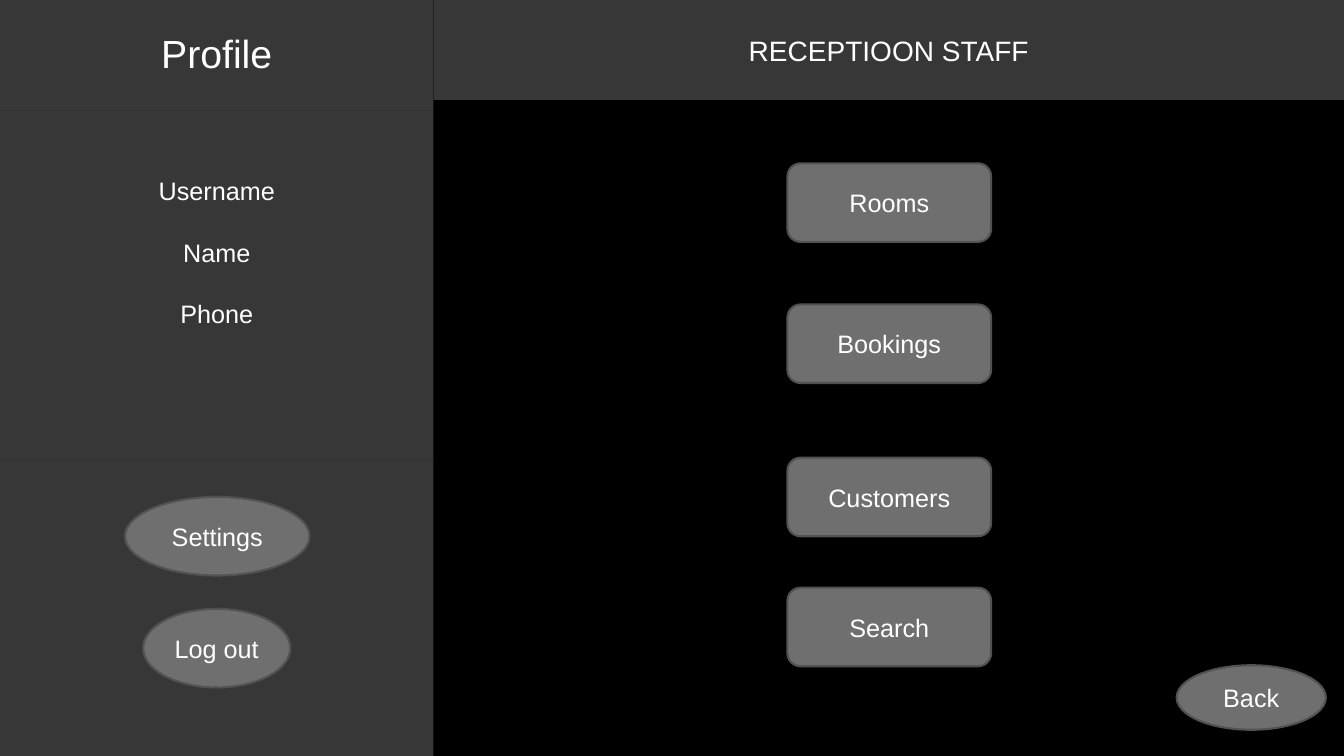
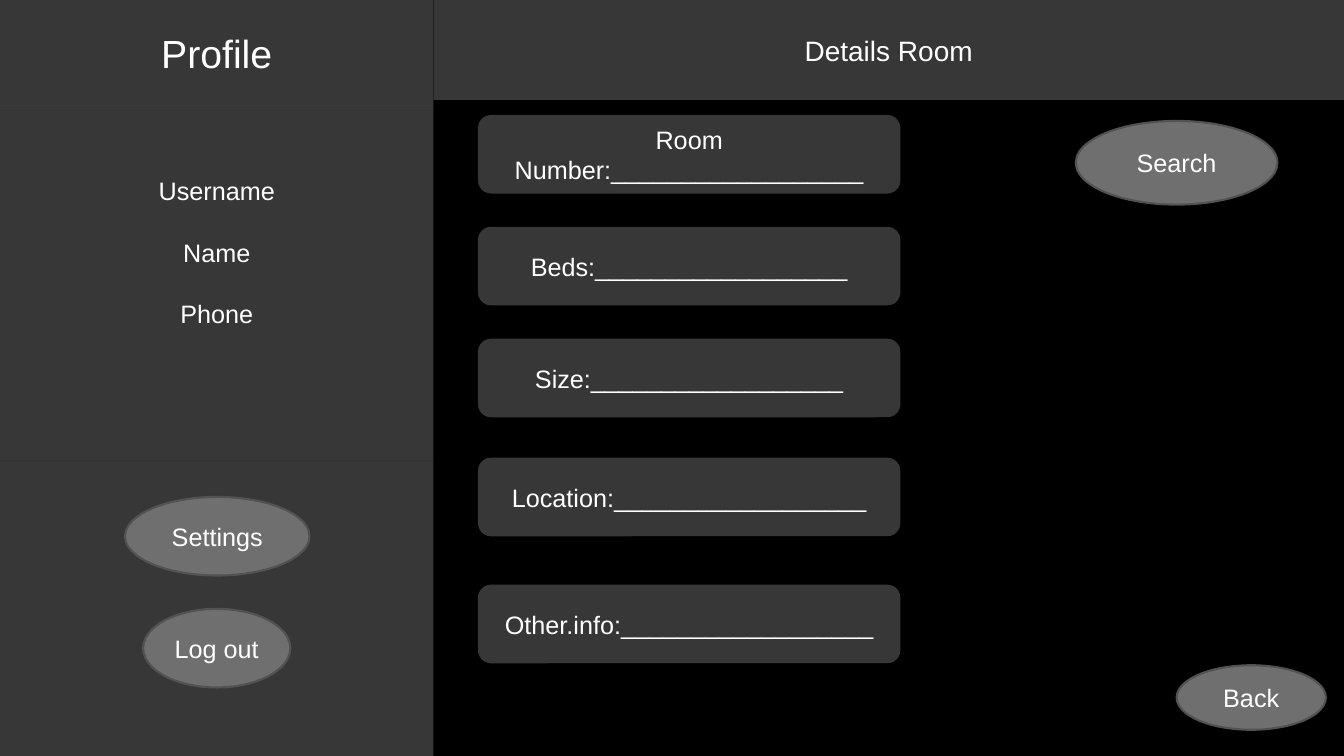
from dataclasses import dataclass

from lxml import etree
from pptx import Presentation
from pptx.dml.color import RGBColor
from pptx.enum.shapes import MSO_SHAPE
from pptx.enum.text import MSO_ANCHOR, PP_ALIGN
from pptx.oxml.ns import qn
from pptx.slide import Slide
from pptx.util import Inches, Pt

RECT = MSO_SHAPE.RECTANGLE
ROUND = MSO_SHAPE.ROUNDED_RECTANGLE
OVAL = MSO_SHAPE.OVAL
CENTER = PP_ALIGN.CENTER
MIDDLE = MSO_ANCHOR.MIDDLE

BLACK = RGBColor(0x00, 0x00, 0x00)
GREY = RGBColor(0x6F, 0x6F, 0x6F)
EDGE = RGBColor(0x52, 0x52, 0x52)
WHITE = RGBColor(0xFF, 0xFF, 0xFF)
FONT = "Arial"

WIDTH, HEIGHT = 13.33, 7.5
SIDE = 4.3
TITLE, INFO, BAND = 1.05, 3.52, 0.99
TALL = 0.78
BLANK_LINE = "_" * 18


@dataclass(frozen=True)
class Item:
    kind: MSO_SHAPE
    left: float
    top: float
    width: float
    height: float
    lines: tuple[str, ...] = ()
    size: int = 18
    panel: bool = False
    gap: float = 0
    foot: float = 0.05


SIDEBAR = (
    Item(RECT, 0, TITLE + INFO, SIDE, HEIGHT - TITLE - INFO, panel=True),
    Item(RECT, 0, 0, SIDE, TITLE, ("Profile",), 28, True),
    Item(RECT, 0, TITLE, SIDE, INFO, ("Username", "Name", "Phone"),
         panel=True, gap=22.4, foot=0.67),
    Item(OVAL, 1.24, 4.93, 1.83, TALL, ("Settings",)),
    Item(OVAL, 1.42, 6.04, 1.46, TALL, ("Log out",)),
)
BACK = Item(OVAL, 11.67, 6.6, 1.48, 0.64, ("Back",))
SEARCH = Item(OVAL, 10.67, 1.2, 2, 0.83, ("Search",))

MENU = (("Rooms", 1.62), ("Bookings", 3.02), ("Customers", 4.54), ("Search", 5.83))
FIELDS = (("Room Number", 1.14), ("Beds", 2.25), ("Size", 3.36),
          ("Location", 4.54), ("Other.info", 5.8))


def draw(slide: Slide, item: Item) -> None:
    shape = slide.shapes.add_shape(
        item.kind, Inches(item.left), Inches(item.top),
        Inches(item.width), Inches(item.height))
    shape.shadow.inherit = False
    shape.fill.solid()
    shape.fill.fore_color.rgb = GREY
    if item.panel:
        tint = shape.element.spPr.find(qn("a:solidFill")).find(qn("a:srgbClr"))
        etree.SubElement(tint, qn("a:alpha"), val="50000")
        shape.line.fill.background()
    else:
        shape.line.color.rgb = EDGE
        shape.line.width = Pt(1.5)

    frame = shape.text_frame
    frame.word_wrap = True
    frame.vertical_anchor = MIDDLE
    frame.margin_bottom = Inches(item.foot)
    for index, line in enumerate(item.lines):
        para = frame.add_paragraph() if index else frame.paragraphs[0]
        para.alignment = CENTER
        if index:
            para.space_before = Pt(item.gap)
        run = para.add_run()
        run.text = line
        run.font.name = FONT
        run.font.size = Pt(item.size)
        run.font.color.rgb = WHITE


def add_page(deck: Presentation, title: str, items: list[Item]) -> None:
    slide = deck.slides.add_slide(deck.slide_layouts[6])
    slide.background.fill.solid()
    slide.background.fill.fore_color.rgb = BLACK
    band = Item(RECT, SIDE, 0, WIDTH - SIDE, BAND, (title,), 20, True)
    for item in (*SIDEBAR, band, *items, BACK):
        draw(slide, item)


def main() -> None:
    deck = Presentation()
    deck.slide_width = Inches(WIDTH)
    deck.slide_height = Inches(HEIGHT)
    menu = [Item(ROUND, 7.81, top, 2.02, TALL, (name,)) for name, top in MENU]
    fields = [Item(ROUND, 4.74, top, 4.19, TALL, (f"{name}:{BLANK_LINE}",), panel=True)
              for name, top in FIELDS]
    add_page(deck, "RECEPTIOON STAFF", menu)
    add_page(deck, "Details Room", [*fields, SEARCH])
    deck.save("out.pptx")


if __name__ == "__main__":
    main()
